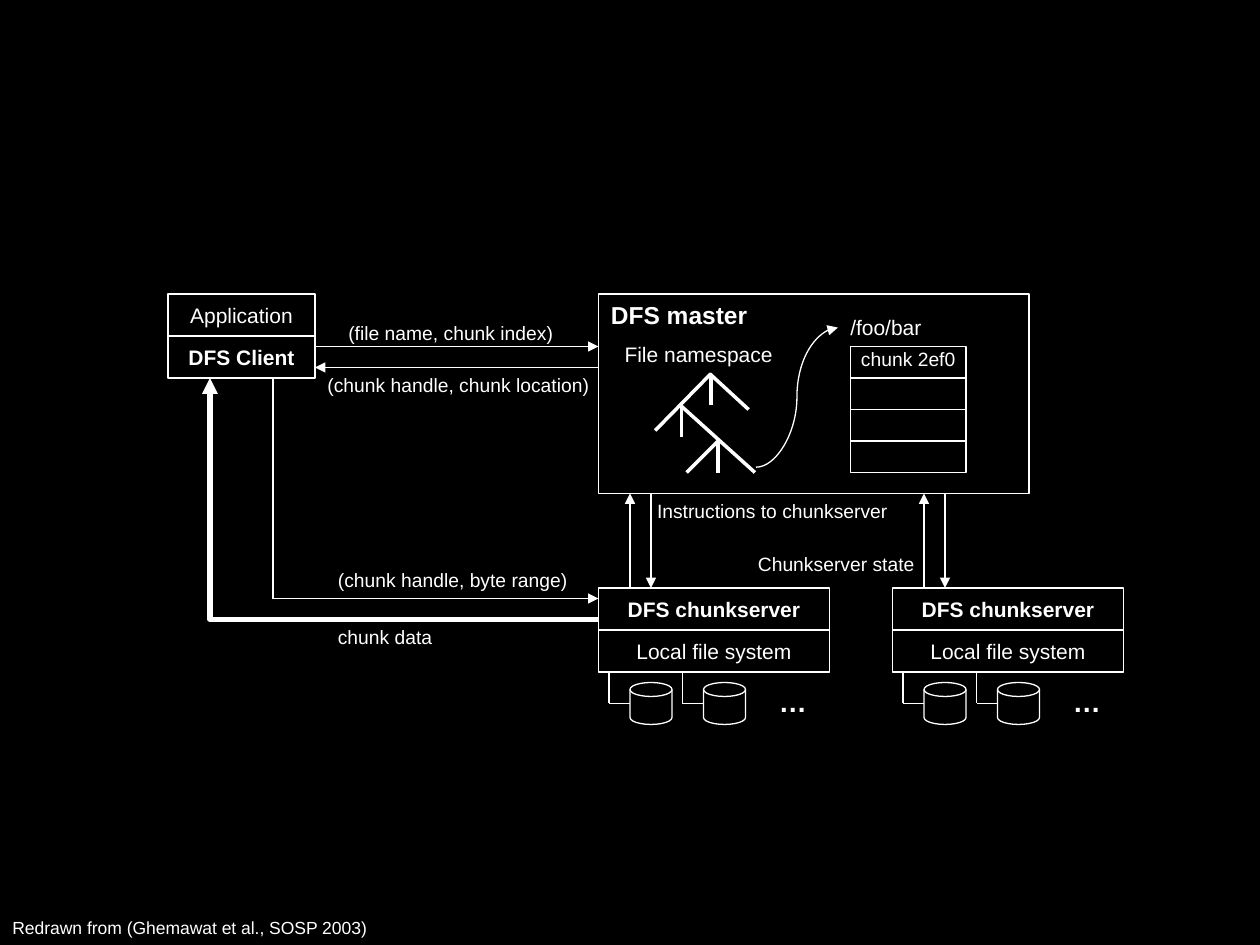
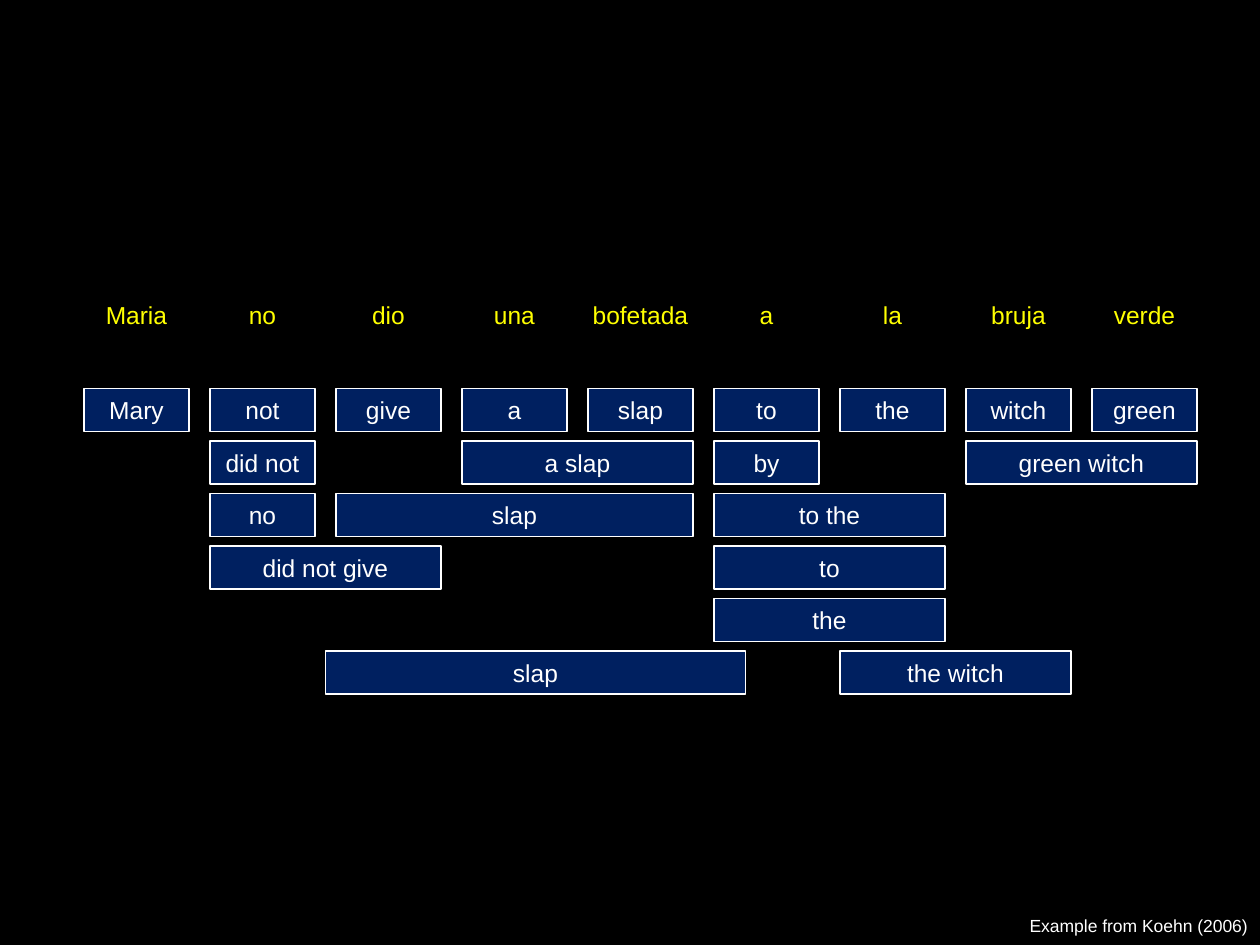
"""Build two diagram slides: a distributed file system and phrase translation options."""
from pptx import Presentation
from pptx import util as u
from pptx.dml.color import RGBColor
from pptx.enum import shapes, text
from pptx.oxml.ns import qn
from lxml import etree

PX = 7620
FONT = "Arial"
rgb = RGBColor.from_string
BLACK, WHITE, YELLOW, NAVY = "000000", "FFFFFF", "FFFF00", "002060"
LEFT, CENTER, RIGHT = text.PP_ALIGN.LEFT, text.PP_ALIGN.CENTER, text.PP_ALIGN.RIGHT
RECT, DISK = shapes.MSO_SHAPE.RECTANGLE, shapes.MSO_SHAPE.FLOWCHART_MAGNETIC_DISK
STRAIGHT, CURVE, ELBOW = (shapes.MSO_CONNECTOR.STRAIGHT, shapes.MSO_CONNECTOR.CURVE,
                          shapes.MSO_CONNECTOR.ELBOW)


def add_box(page, area, label="", size=12, bold=False, color=WHITE, align=LEFT,
            kind=None, fill=None):
    area = [length * PX for length in area]
    if kind is None:
        box = page.shapes.add_textbox(*area)
        box.text_frame.word_wrap = align != LEFT
        box.text_frame.auto_size = text.MSO_AUTO_SIZE.SHAPE_TO_FIT_TEXT
    else:
        box = page.shapes.add_shape(kind, *area)
        box.shadow.inherit = False
        box.line.color.rgb = rgb(WHITE)
        box.line.width = u.Pt(0.75)
        if fill:
            box.fill.solid()
            box.fill.fore_color.rgb = rgb(fill)
        else:
            box.fill.background()
        box.text_frame.vertical_anchor = text.MSO_ANCHOR.MIDDLE
    if label:
        para = box.text_frame.paragraphs[0]
        para.alignment = align
        span = para.add_run()
        span.text = label
        span.font.name = FONT
        span.font.size = u.Pt(size)
        span.font.bold = bold
        span.font.color.rgb = rgb(color)
    return box


def add_line(page, ends, width=0.75, arrow=False, kind=STRAIGHT):
    line = page.shapes.add_connector(kind, *[length * PX for length in ends])
    line.line.color.rgb = rgb(WHITE)
    line.line.width = u.Pt(width)
    properties = line._element.spPr
    if arrow:
        etree.SubElement(properties.find(qn("a:ln")), qn("a:tailEnd"), type="triangle")
    etree.SubElement(properties, qn("a:effectLst"))
    return line


deck = Presentation()
deck.slide_width, deck.slide_height = 1200 * PX, 900 * PX
background = deck.slide_master.background.fill
background.solid()
background.fore_color.rgb = rgb(BLACK)
blank = deck.slide_layouts[6]

page = deck.slides.add_slide(blank)
add_box(page, (0, 867, 366, 32), "Redrawn from (Ghemawat et al., SOSP 2003)", 10)

add_box(page, (160, 280, 140, 40), "Application", align=CENTER, kind=RECT)
add_box(page, (160, 320, 140, 40), "DFS Client", bold=True, align=CENTER, kind=RECT)

add_box(page, (570, 280, 410, 190), kind=RECT)
add_box(page, (570, 280, 156, 41), "DFS master", 14, True)
add_box(page, (583, 319, 167, 36), "File namespace")
add_box(page, (798, 294, 92, 36), "/foo/bar")

for branch in [(677, 356, 624, 410), (676, 356, 713, 390), (677, 356, 677, 386),
               (648, 386, 719, 450), (649, 386, 649, 416),
               (684, 420, 654, 450), (684, 420, 684, 450)]:
    add_line(page, branch, 2)
for row in range(4):
    add_box(page, (810, 330 + 30 * row, 110, 30), kind=RECT)
add_box(page, (800, 325, 130, 35), "chunk 2ef0", 11, align=CENTER)
add_line(page, (720, 445, 798, 312), arrow=True, kind=CURVE)

for left in (570, 850):
    add_box(page, (left, 560, 220, 40), "DFS chunkserver", bold=True, align=CENTER, kind=RECT)
    add_box(page, (left, 600, 220, 40), "Local file system", align=CENTER, kind=RECT)
    for stem in (left + 10, left + 80):
        add_box(page, (stem + 20, 650, 40, 40), kind=DISK)
        add_line(page, (stem, 640, stem, 670))
        add_line(page, (stem, 670, stem + 20, 670))
    add_box(page, (left + 160, 646, 52, 44), "…", 16, True)
    add_line(page, (left + 50, 470, left + 50, 560), arrow=True)
    add_line(page, (left + 30, 560, left + 30, 470), arrow=True)

add_line(page, (300, 330, 570, 330), arrow=True)
add_line(page, (570, 350, 300, 350), arrow=True)
add_line(page, (260, 570, 570, 570), arrow=True)
add_line(page, (260, 570, 260, 360))
data_arrow = add_line(page, (200, 360, 570, 590), 3, True, ELBOW)
data_arrow._element.spPr.find(qn("a:prstGeom")).set("prst", "bentConnector2")
data_arrow._element.spPr.find(qn("a:xfrm")).set("rot", "10800000")

for left, top, width, label in [
        (320, 300, 221, "(file name, chunk index)"),
        (300, 350, 275, "(chunk handle, chunk location)"),
        (614, 470, 245, "Instructions to chunkserver"),
        (710, 520, 174, "Chunkserver state"),
        (310, 535, 244, "(chunk handle, byte range)"),
        (310, 590, 115, "chunk data")]:
    add_box(page, (left, top, width, 35), label, 11)

page = deck.slides.add_slide(blank)
spanish = ["Maria", "no", "dio", "una", "bofetada", "a", "la", "bruja", "verde"]
for column, word in enumerate(spanish):
    add_box(page, (70 + 120 * column, 280, 120, 41), word, 14, color=YELLOW, align=CENTER)

english = ["Mary", "not", "give", "a", "slap", "to", "the", "witch", "green"]
phrases = [(0, column, 1, word) for column, word in enumerate(english)]
phrases += [(1, 1, 1, "did not"), (1, 3, 2, "a slap"), (1, 5, 1, "by"), (1, 7, 2, "green witch"),
            (2, 1, 1, "no"), (2, 2, 3, "slap"), (2, 5, 2, "to the"),
            (3, 1, 2, "did not give"), (3, 5, 2, "to"),
            (4, 5, 2, "the"), (5, 6, 2, "the witch")]
for row, column, words, phrase in phrases:
    add_box(page, (80 + 120 * column, 370 + 50 * row, 120 * words - 20, 41), phrase, 14,
            align=CENTER, kind=RECT, fill=NAVY)
add_box(page, (310, 620, 400, 41), "slap", 14, align=CENTER, kind=RECT, fill=NAVY)
add_box(page, (950, 866, 250, 33), "Example from Koehn (2006)", 10, align=RIGHT)

deck.save("out.pptx")
